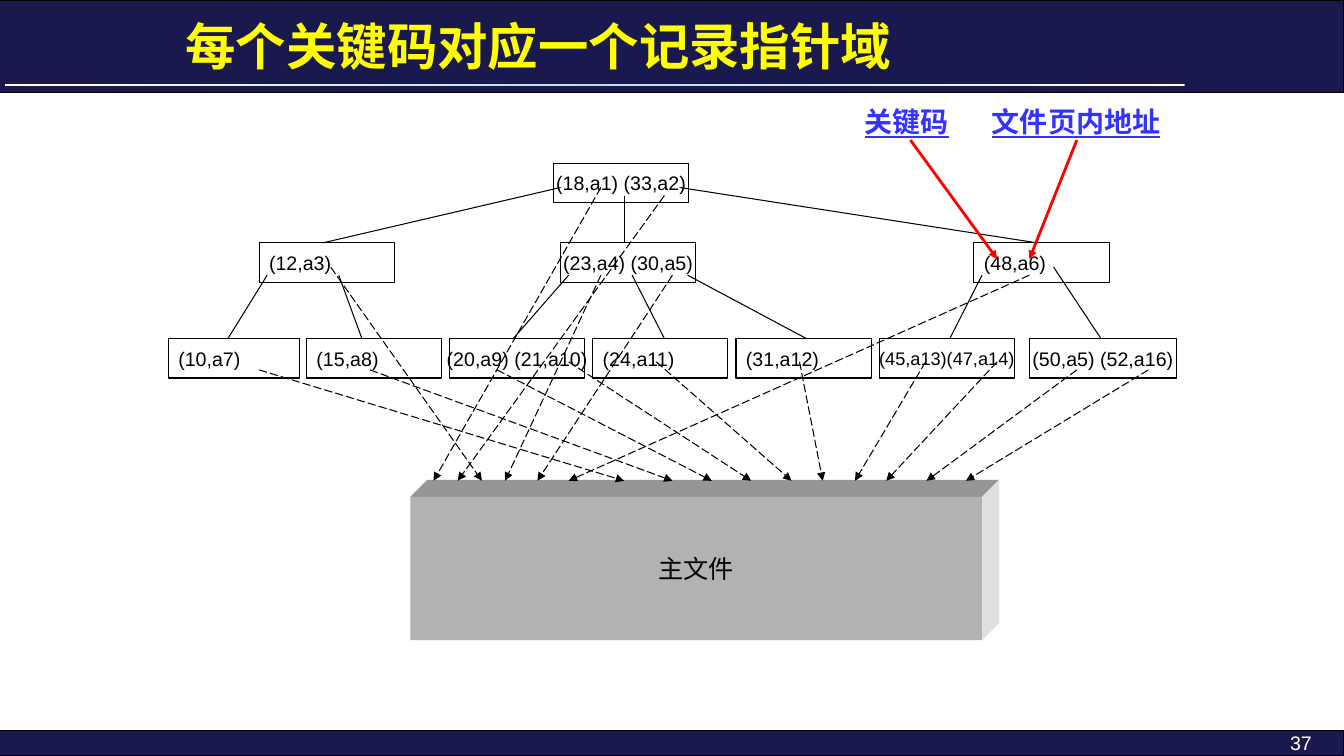
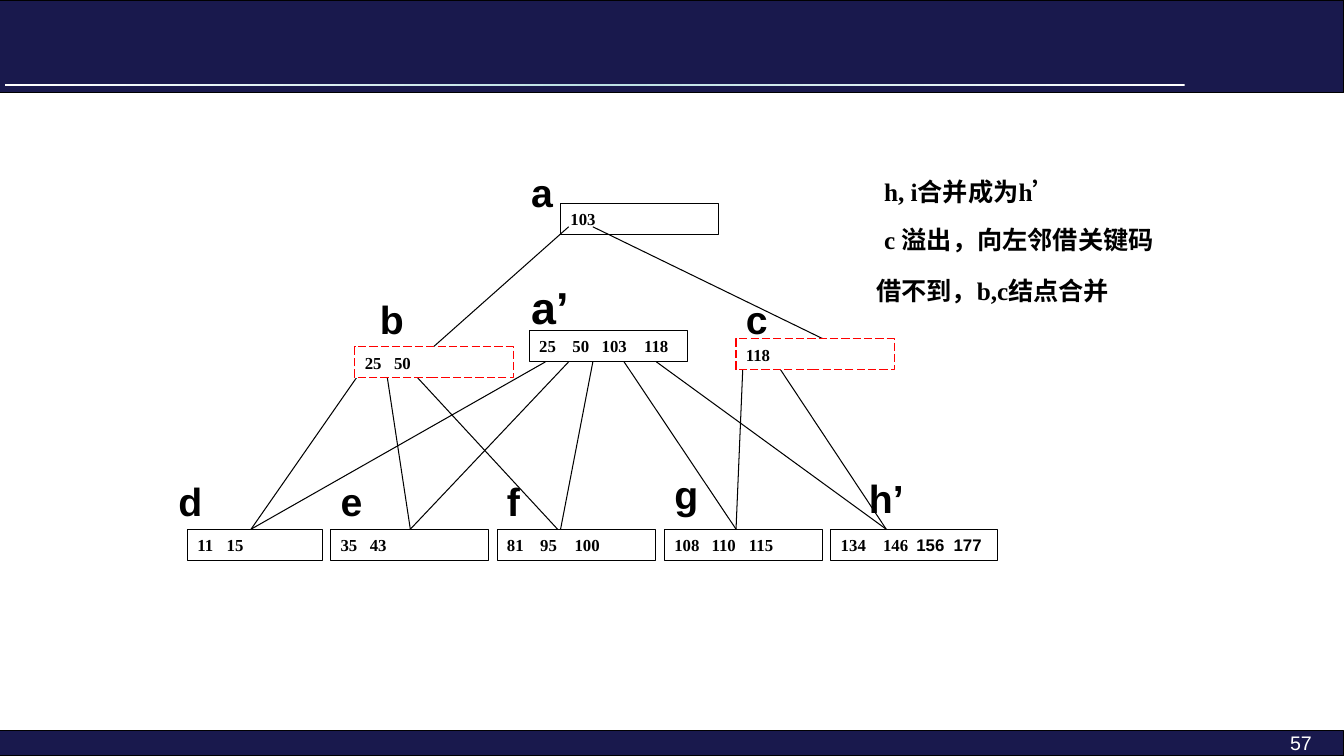
from copy import deepcopy
from dataclasses import dataclass, replace

from lxml import etree
from pptx import Presentation
from pptx.dml.color import RGBColor
from pptx.enum.dml import MSO_LINE
from pptx.enum.shapes import MSO_CONNECTOR, MSO_SHAPE
from pptx.enum.text import MSO_ANCHOR, PP_ALIGN
from pptx.oxml.ns import qn
from pptx.util import Emu, Pt

RECT, STEP = MSO_SHAPE.RECTANGLE, MSO_SHAPE.FLOWCHART_PROCESS
LEFT, MID, RIGHT = PP_ALIGN.LEFT, PP_ALIGN.CENTER, PP_ALIGN.RIGHT
TOP, CENTER = MSO_ANCHOR.TOP, MSO_ANCHOR.MIDDLE
DASH = MSO_LINE.LONG_DASH
STRAIGHT = MSO_CONNECTOR.STRAIGHT

SCALE = 9144  # EMU in one px, 100 px to the inch
WIDE, HIGH = 1333, 750
NAVY, BLACK, WHITE, RED = "19194D", "000000", "FFFFFF", "FF0000"
YELLOW, BLUE, TEAL = "FFFF00", "3333FF", "BBE0E3"
FRONT, LID, SIDE = "B2B2B2", "969696", "DFDFDF"
SANS, SERIF, HAN = "Arial", "Times New Roman", "Noto Sans CJK SC"


@dataclass(frozen=True)
class Look:
    """Font settings of a piece of text."""
    size: int
    font: str = SANS
    ink: str = BLACK
    bold: bool = False
    line: bool = False


@dataclass(frozen=True)
class Node:
    """A tree node; tabs are the key offsets, more is a sans tail."""
    x: int
    y: int
    w: int
    h: int
    keys: str
    align: PP_ALIGN = LEFT
    look: Look = Look(14)
    tabs: tuple[int, ...] = ()
    more: str = ""
    old: bool = False


@dataclass(frozen=True)
class Label:
    x: int
    y: int
    w: int
    h: int
    words: str
    look: Look


@dataclass(frozen=True)
class Link:
    x: int
    y: int
    to_x: int
    to_y: int


def px(n: int) -> Emu:
    return Emu(n * SCALE)


def rgb(code: str) -> RGBColor:
    return RGBColor.from_string(code)


# Text
def style(run, look: Look) -> None:
    font = run.font
    font.name, font.size, font.bold = look.font, Pt(look.size), look.bold
    font.underline = look.line
    font.color.rgb = rgb(look.ink)
    east = etree.Element(qn("a:ea"), typeface=HAN)
    run.font._element.find(qn("a:latin")).addnext(east)


def write(shape, words: str, look: Look, align=LEFT, anchor=TOP, wrap=True):
    frame = shape.text_frame
    frame.word_wrap, frame.vertical_anchor = wrap, anchor
    para = frame.paragraphs[0]
    para.text, para.alignment = words, align
    for run in para.runs:
        style(run, look)
    return para


def label(slide, item: Label, align=LEFT, wrap=True) -> None:
    box = slide.shapes.add_textbox(px(item.x), px(item.y), px(item.w), px(item.h))
    write(box, item.words, item.look, align, wrap=wrap)


# Shapes and lines
def paint(shape, fill: str, edge: str = "") -> None:
    shape.shadow.inherit = False
    shape.fill.solid()
    shape.fill.fore_color.rgb = rgb(fill)
    if edge:
        shape.line.color.rgb = rgb(edge)
        shape.line.width = Pt(0.75)
    else:
        shape.line.fill.background()


def block(slide, x: int, y: int, w: int, h: int, fill: str, edge: str = "", kind=RECT):
    shape = slide.shapes.add_shape(kind, px(x), px(y), px(w), px(h))
    paint(shape, fill, edge)
    return shape


def face(slide, points: list[tuple[int, int]], fill: str) -> None:
    pen = slide.shapes.build_freeform(*points[0], scale=SCALE)
    pen.add_line_segments(points[1:], close=True)
    paint(pen.convert_to_shape(), fill)


def link(slide, item: Link, ink=BLACK, width=0.75, dash=None, arrow=False) -> None:
    wire = slide.shapes.add_connector(
        STRAIGHT, px(item.x), px(item.y), px(item.to_x), px(item.to_y))
    wire.line.color.rgb = rgb(ink)
    wire.line.width = Pt(width)
    if dash:
        wire.line.dash_style = dash
    if arrow:
        etree.SubElement(wire.line._get_or_add_ln(), qn("a:tailEnd"), type="triangle")
    etree.SubElement(wire._element.spPr, qn("a:effectLst"))


def node(slide, item: Node, kind=RECT, wrap=True) -> None:
    shape = block(slide, item.x, item.y, item.w, item.h, WHITE,
                  RED if item.old else BLACK, kind)
    if item.old:
        shape.line.dash_style = DASH
    para = write(shape, item.keys, item.look, item.align, CENTER, wrap)
    if item.more:
        run = para.add_run()
        run.text = item.more
        style(run, replace(item.look, font=SANS))
    if item.tabs:
        stops = etree.SubElement(para._p.get_or_add_pPr(), qn("a:tabLst"))
        for stop in item.tabs:
            etree.SubElement(stops, qn("a:tab"), pos=str(px(stop)), algn="l")


# Bands, rule, page number and title
def base(deck, page: str, title: str = ""):
    slide = deck.slides.add_slide(deck.slide_layouts[6])
    block(slide, 0, 725, WIDE, 25, NAVY, BLACK)
    block(slide, 0, 0, WIDE, 92, NAVY, BLACK)
    fill = block(slide, 5, 83, 1170, 2, WHITE).fill
    fill.gradient()
    fill.gradient_angle = 0
    last = fill.gradient_stops[1]._gs
    last.addnext(deepcopy(last))
    for stop, spot, ink in zip(fill.gradient_stops, (0, 0.5, 1), (WHITE, TEAL, WHITE)):
        stop.position, stop.color.rgb = spot, rgb(ink)
    label(slide, Label(1111, 720, 200, 25, page, Look(14, ink=WHITE)), RIGHT)
    if title:
        label(slide, Label(174, 10, 745, 71, title, Look(36, HAN, YELLOW, True)))
    return slide


# Slide 1: index tree over the main file
def index(deck) -> None:
    slide = base(deck, "37", "每个关键码对应一个记录指针域")
    top, mid, low, high, wide = 162, 241, 336, 39, 134
    nodes = [
        Node(549, top, wide, high, "(18,a1) (33,a2)", MID),
        Node(257, mid, wide, high, "(12,a3)"),
        Node(556, mid, wide, high, "(23,a4) (30,a5)", MID),
        Node(966, mid, wide, high, "(48,a6)"),
        Node(167, low, 130, high, "(10,a7)"),
        Node(1021, low, 146, high, "(50,a5) (52,a16)", MID),
    ]
    leaves = [("(15,a8)", LEFT, 14), ("(20,a9) (21,a10)", MID, 14),
              ("(24,a11)", LEFT, 14), ("(31,a12)", LEFT, 14),
              ("(45,a13)(47,a14)", MID, 13)]
    nodes += [Node(304 + 142 * i, low, wide, high, keys, align, Look(size))
              for i, (keys, align, size) in enumerate(leaves)]
    for item in nodes:
        node(slide, item, STEP, wrap=False)

    # Tree edges
    for x, y, end in [(556, 186, 320), (619, 194, 619), (674, 186, 1029)]:
        link(slide, Link(x, y, end, mid))
    for x, y, end in [(265, 273, 226), (336, 273, 359), (564, 273, 509),
                      (627, 273, 659), (682, 273, 800), (974, 273, 942),
                      (1045, 265, 1092)]:
        link(slide, Link(x, y, end, low))

    # Callouts
    look = Look(20, ink=BLUE, bold=True, line=True)
    label(slide, Label(848, 99, 104, 43, "关键码", look), wrap=False)
    label(slide, Label(974, 99, 193, 43, "文件页内地址", look))
    for x, end in [(903, 989), (1068, 1021)]:
        link(slide, Link(x, 139, end, 257), RED, 2, arrow=True)

    # Main file as a solid block
    x, y, w, h, deep = 407, 493, 567, 142, 17
    right, foot = x + w, y + h
    face(slide, [(x, y), (x + deep, y - deep), (right + deep, y - deep), (right, y)], LID)
    face(slide, [(right, y), (right + deep, y - deep),
                 (right + deep, foot - deep), (right, foot)], SIDE)
    write(block(slide, x, y, w, h, FRONT), "主文件", Look(18), MID, CENTER)

    # Record pointers
    for x, y, end in [
            (596, 186, 430), (793, 359, 816), (328, 265, 478), (1021, 273, 564),
            (257, 367, 619), (367, 367, 667), (493, 367, 706), (564, 359, 745),
            (651, 359, 785), (659, 194, 454), (918, 359, 848), (1068, 367, 919),
            (989, 359, 879), (1139, 367, 958), (596, 273, 501), (667, 273, 533)]:
        link(slide, Link(x, y, end, 477), dash=DASH, arrow=True)


# Slide 2: merging nodes b and c
def merge(deck) -> None:
    slide = base(deck, "57")
    low, wide, high = 525, 157, 31
    look = Look(12, SERIF, bold=True)
    node(slide, Node(556, 202, wide, high, "103", look=look))

    # Edges of the old tree
    for item in [Link(564, 225, 430, 344), Link(588, 225, 816, 336)]:
        link(slide, item)
    for x, y, end in [(359, 367, 249), (383, 367, 407), (407, 367, 553),
                      (737, 359, 730), (769, 359, 879)]:
        link(slide, Link(x, y, end, low))

    # Node names
    for x, y, name in [(517, 162, "a"), (367, 288, "b"), (730, 288, "c"),
                       (167, 469, "d"), (328, 469, "e"), (493, 469, "f"),
                       (659, 462, "g"), (852, 466, "h’")]:
        label(slide, Label(x, y, 75, 57, name, Look(28, bold=True)))
    label(slide, Label(517, 273, 84, 63, "a’", Look(32, bold=True)))

    # Nodes
    for item in [
            Node(730, 336, wide, high, "118", old=True),
            Node(352, 344, wide, high, "25\t50", tabs=(29,), old=True),
            Node(525, 328, wide, high, "25\t50\t103\t118", tabs=(33, 62, 104)),
            Node(186, low, 134, high, "11\t15", tabs=(29,)),
            Node(328, low, wide, high, "35\t43", tabs=(29,)),
            Node(493, low, wide, high, "81\t95\t100", tabs=(33, 67)),
            Node(659, low, wide, high, "108\t110\t115", tabs=(37, 74)),
            Node(824, low, 165, high, "134\t146", tabs=(42, 75, 112),
                 more="\t156\t177")]:
        node(slide, replace(item, look=look))

    # Edges of the merged node
    for x, end in [(541, 249), (564, 407), (588, 556), (619, 730), (651, 879)]:
        link(slide, Link(x, 359, end, low))

    # Steps
    for x, y, words in [(867, 170, "h, i合并成为h’"),
                        (867, 218, "c 溢出，向左邻借关键码"),
                        (859, 268, "借不到，b,c结点合并")]:
        label(slide, Label(x, y, 299, 40, words, Look(18, SERIF, bold=True)))


def main() -> None:
    deck = Presentation()
    deck.slide_width, deck.slide_height = px(WIDE), px(HIGH)
    index(deck)
    merge(deck)
    deck.save("out.pptx")


if __name__ == "__main__":
    main()
